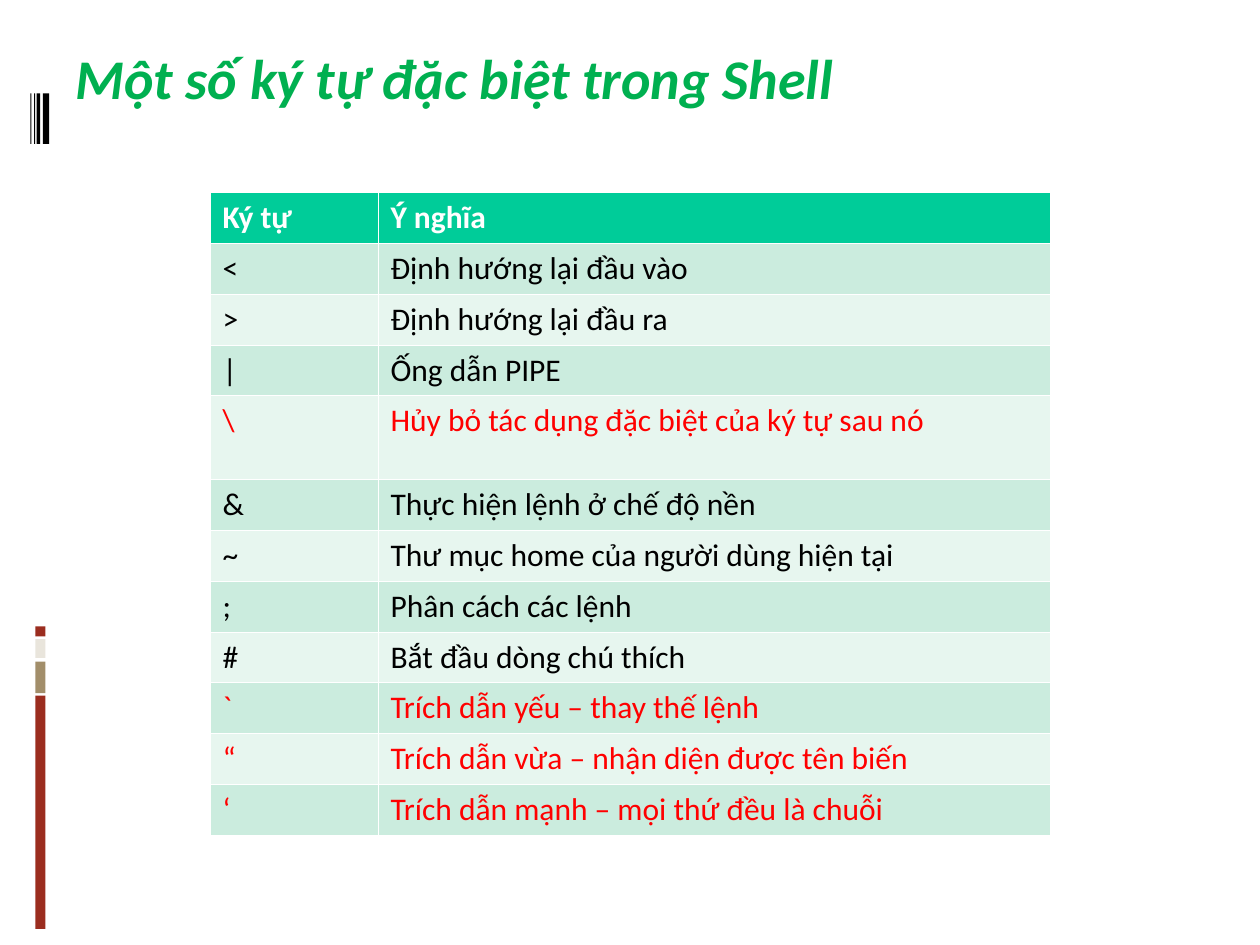
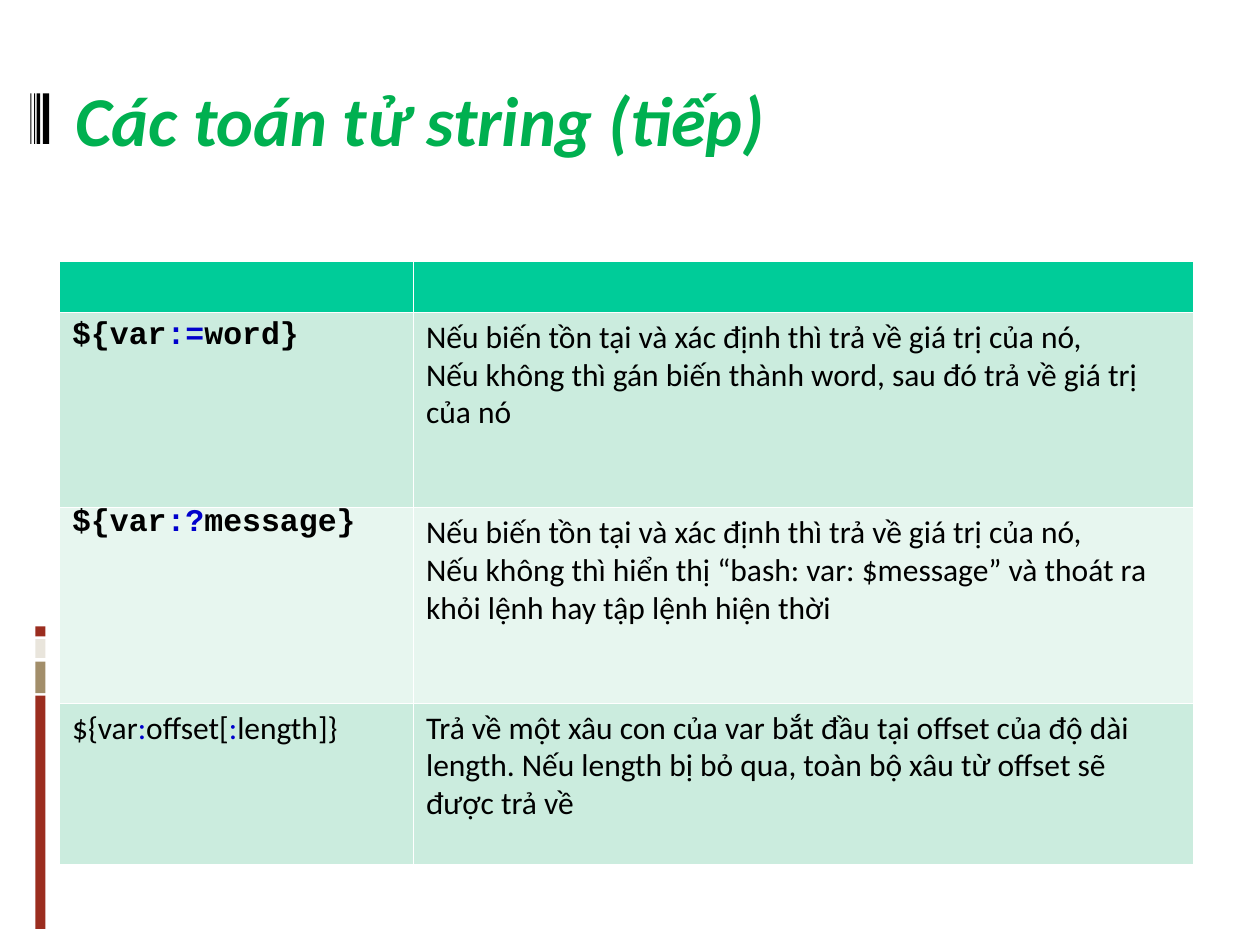
from lxml.etree import SubElement
from pptx import Presentation
from pptx.dml.color import RGBColor
from pptx.enum.shapes import MSO_SHAPE
from pptx.enum.text import MSO_ANCHOR
from pptx.oxml import parse_xml
from pptx.oxml.ns import nsdecls, qn
from pptx.util import Pt

GREEN, HEADER, BANDS = "00B050", "00CC99", ("E7F6EF", "CBECDE")
BLACK, WHITE, RED, BLUE = "000000", "FFFFFF", "FF0000", "0000CC"
RUST, TAN, SAND = "9B2D1F", "A28E6A", "E9E5DC"
THIN, THICK = 0.23, 0.74

BODY = {"name": "Calibri", "size": Pt(18), "bold": False}
HEAD = {**BODY, "bold": True}
CODE = {**HEAD, "name": "Courier New"}
TITLE = {**HEAD, "italic": True}

SIDE_BLOCKS = [(0, 5.76, RUST), (7.2, 10.8, SAND), (20.16, 18, TAN), (39.6, 133.2, RUST)]
BARCODE = [(0, 0.72), (2.16, 0.72), (3.6, 2.16), (7.2, 3.6)]

CHARACTERS = [
    ("<", "Định hướng lại đầu vào", BLACK),
    (">", "Định hướng lại đầu ra", BLACK),
    ("|", "Ống dẫn PIPE", BLACK),
    ("\\", "Hủy bỏ tác dụng đặc biệt của ký tự sau nó", RED),
    ("&", "Thực hiện lệnh ở chế độ nền", BLACK),
    ("~", "Thư mục home của người dùng hiện tại", BLACK),
    (";", "Phân cách các lệnh", BLACK),
    ("#", "Bắt đầu dòng chú thích", BLACK),
    ("`", "Trích dẫn yếu – thay thế lệnh", RED),
    ("“", "Trích dẫn vừa – nhận diện được tên biến", RED),
    ("‘", "Trích dẫn mạnh – mọi thứ đều là chuỗi", RED),
]

EXISTS = "Nếu biến tồn tại và xác định thì trả về giá trị của nó, "
OPERATORS = [
    (["${var", ":=", "word}"], CODE, 0.94,
     [EXISTS, "Nếu không thì gán biến thành word, sau đó trả về giá trị của nó"]),
    (["${var", ":?", "message}"], CODE, 0.62,
     [EXISTS, "Nếu không thì hiển thị “bash: var: $message” và thoát ra "
              "khỏi lệnh hay tập lệnh hiện thời"]),
    (["${var", ":", "offset[", ":", "length]}"], BODY, 0.98,
     ["Trả về một xâu con của var bắt đầu tại offset của độ dài length. "
      "Nếu length bị bỏ qua, toàn bộ xâu từ offset sẽ được trả về"]),
]


def color(value):
    """Turn a hex string into a colour."""
    return RGBColor.from_string(value)


def add_span(para, text, values, ink):
    """Append one formatted run to a paragraph."""
    span = para.add_run()
    span.text = text
    for name, value in values.items():
        setattr(span.font, name, value)
    span.font.color.rgb = color(ink)


def add_block(page, left, top, width, height, fill):
    """Draw a plain filled rectangle."""
    block = page.shapes.add_shape(MSO_SHAPE.RECTANGLE, Pt(left), Pt(top), Pt(width), Pt(height))
    block.shadow.inherit = False
    block.fill.solid()
    block.fill.fore_color.rgb = color(fill)
    block.line.fill.background()


def add_margin_marks(page, left, top):
    """Draw the barcode and the coloured column down the left margin."""
    for offset, height, fill in SIDE_BLOCKS:
        add_block(page, left + 2.88, top + 304.56 + offset, 5.76, height, fill)
    for offset, width in BARCODE:
        add_block(page, left + offset, top, width, 28.8, BLACK)


def add_title(page, left, top, width, height, text, size, anchor):
    """Place the slide title."""
    box = page.shapes.add_textbox(Pt(left), Pt(top), Pt(width), Pt(height))
    frame = box.text_frame
    frame.word_wrap = True
    frame.vertical_anchor = anchor
    add_span(frame.paragraphs[0], text, {**TITLE, "size": Pt(size)}, GREEN)


def style_cell(cell, row):
    """Fill a cell by its row and give it white borders."""
    cell.fill.solid()
    cell.fill.fore_color.rgb = color(BANDS[row % 2] if row else HEADER)
    widths = {"lnL": THIN, "lnR": THIN,
              "lnT": THICK if row == 1 else THIN,
              "lnB": THIN if row else THICK}
    properties = cell._tc.get_or_add_tcPr()
    for index, (side, width) in enumerate(widths.items()):
        line = parse_xml(f'<a:{side} {nsdecls("a")} w="{Pt(width)}"/>')
        fill = SubElement(line, qn("a:solidFill"))
        SubElement(fill, qn("a:srgbClr"), val=WHITE)
        properties.insert(index, line)


def add_grid(page, left, top, columns, heights):
    """Add a banded table without text and return it."""
    frame = page.shapes.add_table(len(heights), len(columns), Pt(left), Pt(top),
                                  Pt(sum(columns)), Pt(sum(heights)))
    table = frame.table
    for column, width in zip(table.columns, columns):
        column.width = Pt(width)
    for index, (row, height) in enumerate(zip(table.rows, heights)):
        row.height = Pt(height)
        for cell in row.cells:
            style_cell(cell, index)
    return table


def write_cell(cell, paragraphs, values, inks, spacing=0.98):
    """Write paragraphs of spans, whose colours alternate through inks."""
    frame = cell.text_frame
    for index, spans in enumerate(paragraphs):
        para = frame.add_paragraph() if index else frame.paragraphs[0]
        para.line_spacing = spacing
        for place, text in enumerate(spans):
            add_span(para, text, values, inks[place % len(inks)])


def add_character_table(page, left, top):
    """List the special characters and their meanings."""
    heights = [29] + [48 if sign == "\\" else 29 for sign, _, _ in CHARACTERS]
    table = add_grid(page, left, top, [96, 384], heights)
    rows = [("Ký tự", "Ý nghĩa", WHITE)] + CHARACTERS
    for index, (sign, meaning, ink) in enumerate(rows):
        for column, text in enumerate((sign, meaning)):
            write_cell(table.cell(index, column), [[text]], BODY if index else HEAD, [ink])


def add_operator_table(page, left, top):
    """List the string operators and what they return."""
    table = add_grid(page, left, top, [202.3, 445.7], [29, 111.6, 111.6, 92.4])
    for index, (spans, values, spacing, lines) in enumerate(OPERATORS, 1):
        write_cell(table.cell(index, 0), [spans], values, [BLACK, BLUE], spacing)
        write_cell(table.cell(index, 1), [[line] for line in lines], BODY, [BLACK])


def add_page(deck):
    """Add a blank slide with the shared margin marks."""
    page = deck.slides.add_slide(deck.slide_layouts[6])
    add_margin_marks(page, 17.28, 53.4)
    return page


def build():
    """Build and save the deck."""
    deck = Presentation()
    deck.slide_width, deck.slide_height = Pt(720), Pt(540)

    page = add_page(deck)
    add_title(page, 36, 21.6, 633.6, 45.4, "Một số ký tự đặc biệt trong Shell", 32, MSO_ANCHOR.TOP)
    add_character_table(page, 120, 110)

    page = add_page(deck)
    add_title(page, 36, 16.6, 648, 102.2, "Các toán tử string (tiếp)", 40, MSO_ANCHOR.MIDDLE)
    add_operator_table(page, 34, 149.4)

    deck.save("out.pptx")


build()
